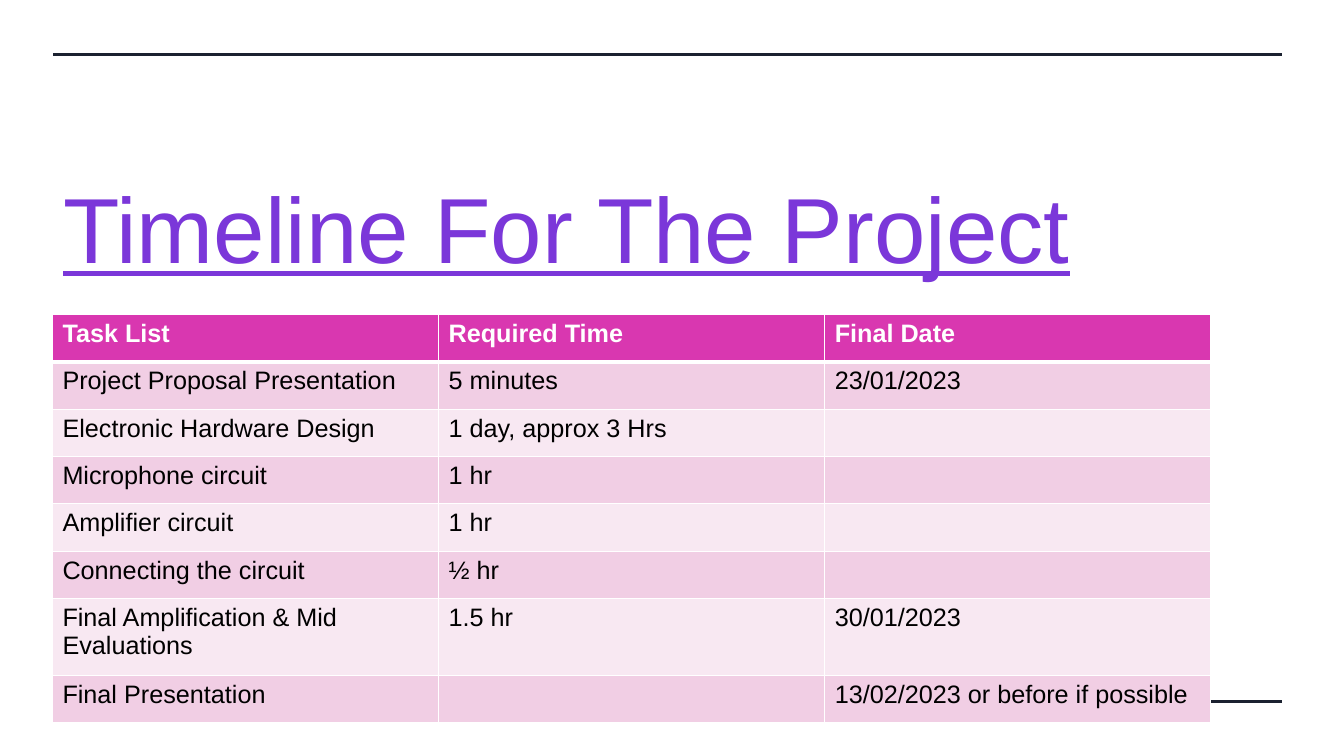
import pptx
import pptx.util
import pptx.dml.color
import pptx.enum.shapes
import pptx.enum.text
import pptx.oxml.ns
from lxml import etree

Inches = pptx.util.Inches
Pt = pptx.util.Pt
rgb = pptx.dml.color.RGBColor.from_string

theme = {
    "font": "Arial",
    "title_size": Pt(66),
    "table_size": Pt(18),
    "title": "7B37D9",
    "rule": "1B2130",
    "header_fill": "D937B0",
    "header_text": "FFFFFF",
    "body_text": "000000",
    "bands": ["F8E8F2", "F1CEE4"],
    "border": "FFFFFF",
}

schedule = [
    ("Task List", "Required Time", "Final Date"),
    ("Project Proposal Presentation", "5 minutes", "23/01/2023"),
    ("Electronic Hardware Design", "1 day, approx 3 Hrs", ""),
    ("Microphone circuit", "1 hr", ""),
    ("Amplifier circuit", "1 hr", ""),
    ("Connecting the circuit", "½ hr", ""),
    ("Final Amplification & Mid Evaluations", "1.5 hr", "30/01/2023"),
    ("Final Presentation", "", "13/02/2023 or before if possible"),
]
row_heights = [0.47] * 6 + [0.76, 0.47]


def style_font(font, size, color):
    font.name = theme["font"]
    font.size = size
    font.color.rgb = rgb(color)


def add_border(cell, side, width):
    qn = pptx.oxml.ns.qn
    properties = cell._tc.get_or_add_tcPr()
    edge = etree.SubElement(properties, qn(f"a:ln{side}"), w=str(Pt(width)))
    fill = etree.SubElement(edge, qn("a:solidFill"))
    etree.SubElement(fill, qn("a:srgbClr"), val=theme["border"])


presentation = pptx.Presentation()
presentation.slide_width = Inches(13.33)
presentation.slide_height = Inches(7.5)
slide = presentation.slides.add_slide(presentation.slide_layouts[6])

for rule_y in (0.54, 6.96):
    rule = slide.shapes.add_connector(
        pptx.enum.shapes.MSO_CONNECTOR.STRAIGHT,
        Inches(0.53), Inches(rule_y), Inches(12.72), Inches(rule_y),
    )
    rule.line.color.rgb = rgb(theme["rule"])
    rule.line.width = Pt(2.25)
    etree.SubElement(rule._element.spPr, pptx.oxml.ns.qn("a:effectLst"))

title = slide.shapes.add_textbox(Inches(0.53), Inches(1.07), Inches(11.63), Inches(2.36))
title.text_frame.word_wrap = True
title.text_frame.vertical_anchor = pptx.enum.text.MSO_ANCHOR.MIDDLE
heading = title.text_frame.paragraphs[0]
heading.text = "Timeline For The Project"
style_font(heading.font, theme["title_size"], theme["title"])
heading.font.underline = True

timeline = slide.shapes.add_table(
    len(schedule), 3, Inches(0.52), Inches(3.12), Inches(11.49), Inches(sum(row_heights))
).table
for column in timeline.columns:
    column.width = Inches(3.83)

for row_index, entries in enumerate(schedule):
    is_header = row_index == 0
    timeline.rows[row_index].height = Inches(row_heights[row_index])
    for column_index, entry in enumerate(entries):
        cell = timeline.cell(row_index, column_index)
        cell.text = entry
        label = cell.text_frame.paragraphs[0]
        style_font(label.font, theme["table_size"], theme["header_text" if is_header else "body_text"])
        label.font.bold = is_header
        for side in "LRTB":
            heavy = (side == "B" and is_header) or (side == "T" and row_index == 1)
            add_border(cell, side, 3 if heavy else 1)
        cell.fill.solid()
        cell.fill.fore_color.rgb = rgb(theme["header_fill"] if is_header else theme["bands"][row_index % 2])

presentation.save("out.pptx")
